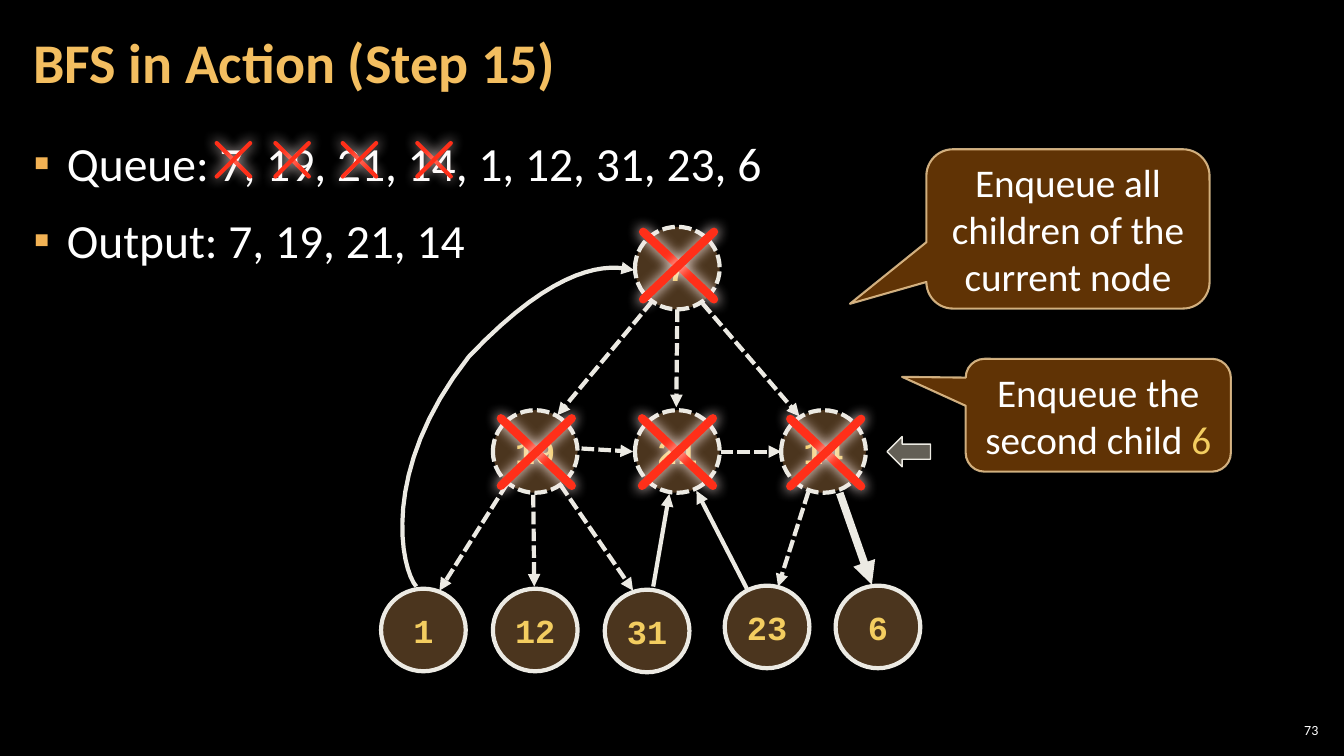
from lxml.etree import SubElement
from pptx import Presentation
from pptx.dml.color import RGBColor
from pptx.enum.dml import MSO_LINE
from pptx.enum.shapes import MSO_CONNECTOR, MSO_SHAPE
from pptx.enum.text import MSO_ANCHOR, MSO_AUTO_SIZE, PP_ALIGN
from pptx.oxml.ns import qn
from pptx.util import Pt

BLACK = RGBColor(0x00, 0x00, 0x00)
WHITE = RGBColor(0xFF, 0xFF, 0xFF)
TITLE_GOLD = RGBColor(0xF3, 0xBE, 0x60)
BULLET_GOLD = RGBColor(0xF2, 0xB2, 0x54)
NUMBER_GOLD = RGBColor(0xF3, 0xCD, 0x60)
CALLOUT_BROWN = RGBColor(0x66, 0x36, 0x06)
CALLOUT_EDGE = RGBColor(0xF8, 0xD4, 0x9E)
NODE_BROWN = RGBColor(0x6C, 0x4C, 0x2C)
IVORY = RGBColor(0xEC, 0xEA, 0xE3)
ARROW_GREY = RGBColor(0xC7, 0xBF, 0xAC)
CROSS_RED = RGBColor(0xFF, 0x2F, 0x19)
CROSS_GLOW = RGBColor(0xFF, 0xED, 0xEB)

NODE_WIDTH, NODE_HEIGHT = 60.5, 59


def add_span(para, text, font="Calibri", size=28, color=WHITE, bold=False):
    span = para.add_run()
    span.text = text
    span.font.name = font
    span.font.size = Pt(size)
    span.font.color.rgb = color
    span.font.bold = bold


def set_alpha(parent, percent):
    color = parent.find(".//" + qn("a:srgbClr"))
    SubElement(color, qn("a:alpha"), val=str(percent * 1000))


def add_arrowhead(line_owner):
    outline = line_owner.line._get_or_add_ln()
    SubElement(outline, qn("a:tailEnd"), type="triangle")


def curve_points(start, segments, steps=16):
    """Points along a chain of cubic Bezier segments."""
    points = []
    for first, second, end in segments:
        for step in range(1, steps + 1):
            t = step / steps
            weights = ((1 - t) ** 3, 3 * t * (1 - t) ** 2, 3 * t * t * (1 - t), t ** 3)
            corners = (start, first, second, end)
            points.append(tuple(Pt(sum(w * c[axis] for w, c in zip(weights, corners)))
                                for axis in (0, 1)))
        start = end
    return points


class SlideBuilder:
    def __init__(self, deck):
        self.page = deck.slides.add_slide(deck.slide_layouts[1])
        self.page.background.fill.solid()
        self.page.background.fill.fore_color.rgb = BLACK

    def place(self, box, left, top, width, height):
        box.left, box.top, box.width, box.height = map(Pt, (left, top, width, height))

    def format_frame(self, frame, side, edge, anchor):
        frame.word_wrap = True
        frame.auto_size = MSO_AUTO_SIZE.NONE
        frame.vertical_anchor = anchor
        frame.margin_left = frame.margin_right = Pt(side)
        frame.margin_top = frame.margin_bottom = Pt(edge)

    def title(self, text, *place):
        box = self.page.shapes.title
        self.place(box, *place)
        self.format_frame(box.text_frame, 8.64, 2.88, MSO_ANCHOR.MIDDLE)
        para = box.text_frame.paragraphs[0]
        para.alignment = PP_ALIGN.LEFT
        para.line_spacing = 0.9
        add_span(para, text, size=40, color=TITLE_GOLD, bold=True)

    def bullets(self, lines, *place):
        box = self.page.placeholders[1]
        self.place(box, *place)
        frame = box.text_frame
        self.format_frame(frame, 8.64, 2.88, MSO_ANCHOR.TOP)
        for index, text in enumerate(lines):
            para = frame.add_paragraph() if index else frame.paragraphs[0]
            para.line_spacing = 1.05
            para.space_before = Pt(6 if index else 0)
            para.space_after = Pt(6)
            properties = para._p.get_or_add_pPr()
            properties.set("marL", str(Pt(24)))
            properties.set("indent", str(Pt(-24)))
            color = SubElement(properties, qn("a:buClr"))
            SubElement(color, qn("a:srgbClr"), val=str(BULLET_GOLD))
            SubElement(properties, qn("a:buChar"), char="▪")
            add_span(para, text, size=34)

    def page_number(self, text, *place):
        box = self.page.shapes.add_textbox(*map(Pt, place))
        self.format_frame(box.text_frame, 2.88, 2.88, MSO_ANCHOR.MIDDLE)
        para = box.text_frame.paragraphs[0]
        para.alignment = PP_ALIGN.RIGHT
        add_span(para, text, size=10)

    def shape(self, kind, place, fill, alpha, edge, weight):
        shape = self.page.shapes.add_shape(kind, *map(Pt, place))
        shape.shadow.inherit = False
        shape.fill.solid()
        shape.fill.fore_color.rgb = fill
        set_alpha(shape._element.spPr.find(qn("a:solidFill")), alpha)
        shape.line.color.rgb = edge
        shape.line.width = Pt(weight)
        return shape

    def node(self, label, left, top, visited):
        place = (left, top, NODE_WIDTH, NODE_HEIGHT)
        shape = self.shape(MSO_SHAPE.OVAL, place, NODE_BROWN, 70, IVORY, 3)
        if visited:
            shape.line.dash_style = MSO_LINE.SQUARE_DOT
        frame = shape.text_frame
        frame.word_wrap = False
        frame.vertical_anchor = MSO_ANCHOR.MIDDLE
        frame.paragraphs[0].alignment = PP_ALIGN.CENTER
        add_span(frame.paragraphs[0], label, font="Courier New", size=24,
                 color=NUMBER_GOLD, bold=True)

    def callout(self, spans, place, tip):
        shape = self.shape(MSO_SHAPE.ROUNDED_RECTANGULAR_CALLOUT, place,
                           CALLOUT_BROWN, 95, CALLOUT_EDGE, 1.5)
        set_alpha(shape._element.spPr.find(qn("a:ln")), 80)
        shape.adjustments[0], shape.adjustments[1] = tip
        self.format_frame(shape.text_frame, 7.2, 3.6, MSO_ANCHOR.MIDDLE)
        para = shape.text_frame.paragraphs[0]
        para.alignment = PP_ALIGN.CENTER
        for text, color in spans:
            add_span(para, text, color=color)

    def line(self, ends, color, weight):
        line = self.page.shapes.add_connector(MSO_CONNECTOR.STRAIGHT, *map(Pt, ends))
        line.line.color.rgb = color
        line.line.width = Pt(weight)
        return line, SubElement(line._element.spPr, qn("a:effectLst"))

    def edge(self, ends, dashed=True, weight=3):
        line, _ = self.line(ends, IVORY, weight)
        if dashed:
            line.line.dash_style = MSO_LINE.SQUARE_DOT
        add_arrowhead(line)

    def curved_edge(self, start, segments):
        builder = self.page.shapes.build_freeform(*map(Pt, start))
        builder.add_line_segments(curve_points(start, segments), close=False)
        curve = builder.convert_to_shape()
        curve.shadow.inherit = False
        curve.fill.background()
        curve.line.color.rgb = IVORY
        curve.line.width = Pt(3)
        add_arrowhead(curve)

    def cross(self, left, top, width, height, weight):
        right, bottom = left + width, top + height
        for ends in ((left, top, right, bottom), (right, top, left, bottom)):
            line, effects = self.line(ends, CROSS_RED, weight)
            line.line._get_or_add_ln().set("cap", "rnd")
            glow = SubElement(effects, qn("a:outerShdw"), blurRad=str(Pt(10)),
                              dist="0", dir="5400000", algn="ctr", rotWithShape="0")
            SubElement(glow, qn("a:srgbClr"), val=str(CROSS_GLOW))


def main():
    deck = Presentation()
    deck.slide_width, deck.slide_height = Pt(960), Pt(540)
    slide = SlideBuilder(deck)

    # Title, queue and output
    slide.title("BFS in Action (Step 15)", 15.1, 2.9, 753.8, 87.1)
    slide.bullets(["Queue: 7, 19, 21, 14, 1, 12, 31, 23, 6", "Output: 7, 19, 21, 14"],
                  15.1, 90.7, 929.5, 438.5)
    slide.page_number("73", 910.8, 514.1, 33.8, 15.1)
    for left in (154.8, 196.7, 244.8, 298.1):
        slide.cross(left, 102.2, 23.9, 23.9, 3)

    # Graph nodes
    for label, left, top, visited in (
            ("7", 453.6, 162, True), ("19", 352.1, 293, True),
            ("21", 453.6, 293, True), ("14", 558, 293, True),
            ("1", 272.2, 420.5, False), ("12", 352.1, 420.5, False),
            ("31", 432, 421.2, False), ("23", 517.7, 418.3, False),
            ("6", 596.9, 418.3, False)):
        slide.node(label, left, top, visited)

    # Edges already followed
    for ends in ((465.8, 215.3, 398.2, 296.6), (483.8, 221, 483.1, 290.9),
                 (501.8, 216.7, 571, 297.4), (415.4, 320.4, 452.2, 322.6),
                 (514.8, 322.6, 558, 322.6), (362.2, 345.6, 313.9, 421.9),
                 (380.9, 353.5, 381.6, 419), (400.3, 346.3, 452.2, 421.9),
                 (577.4, 351.4, 555.8, 419)):
        slide.edge(ends)

    # Edges still open, with the current one thicker
    slide.edge((466.6, 419, 478.1, 352.8), dashed=False)
    slide.edge((533.5, 420.5, 497.5, 350.6), dashed=False)
    slide.edge((599.8, 352.1, 622.8, 417.6), dashed=False, weight=5.5)
    slide.curved_edge((297.4, 419), [((286.6, 406.8), (270.7, 336.2), (334.8, 254.9)),
                                     ((398.9, 187.2), (434.9, 188.6), (452.9, 193))])

    # Crosses over the visited nodes
    for left, top in ((459.4, 165.6), (357.8, 298.8), (458.6, 298.8), (564.5, 299.2)):
        slide.cross(left, top, 50.6, 48.2, 6)

    # Callouts and pointer to the current node
    slide.callout([("Enqueue all children of the current node", WHITE)],
                  (661.7, 106.6, 202.3, 113.8), (-0.77, 0.47))
    slide.callout([("Enqueue the second child ", WHITE), ("6", NUMBER_GOLD)],
                  (689.8, 256.3, 189.4, 80.6), (-0.74, -0.34))
    pointer = slide.shape(MSO_SHAPE.RIGHT_ARROW, (633.6, 311.8, 31, 21.6),
                          ARROW_GREY, 50, IVORY, 1)
    pointer.rotation = 180

    deck.save("out.pptx")


if __name__ == "__main__":
    main()
